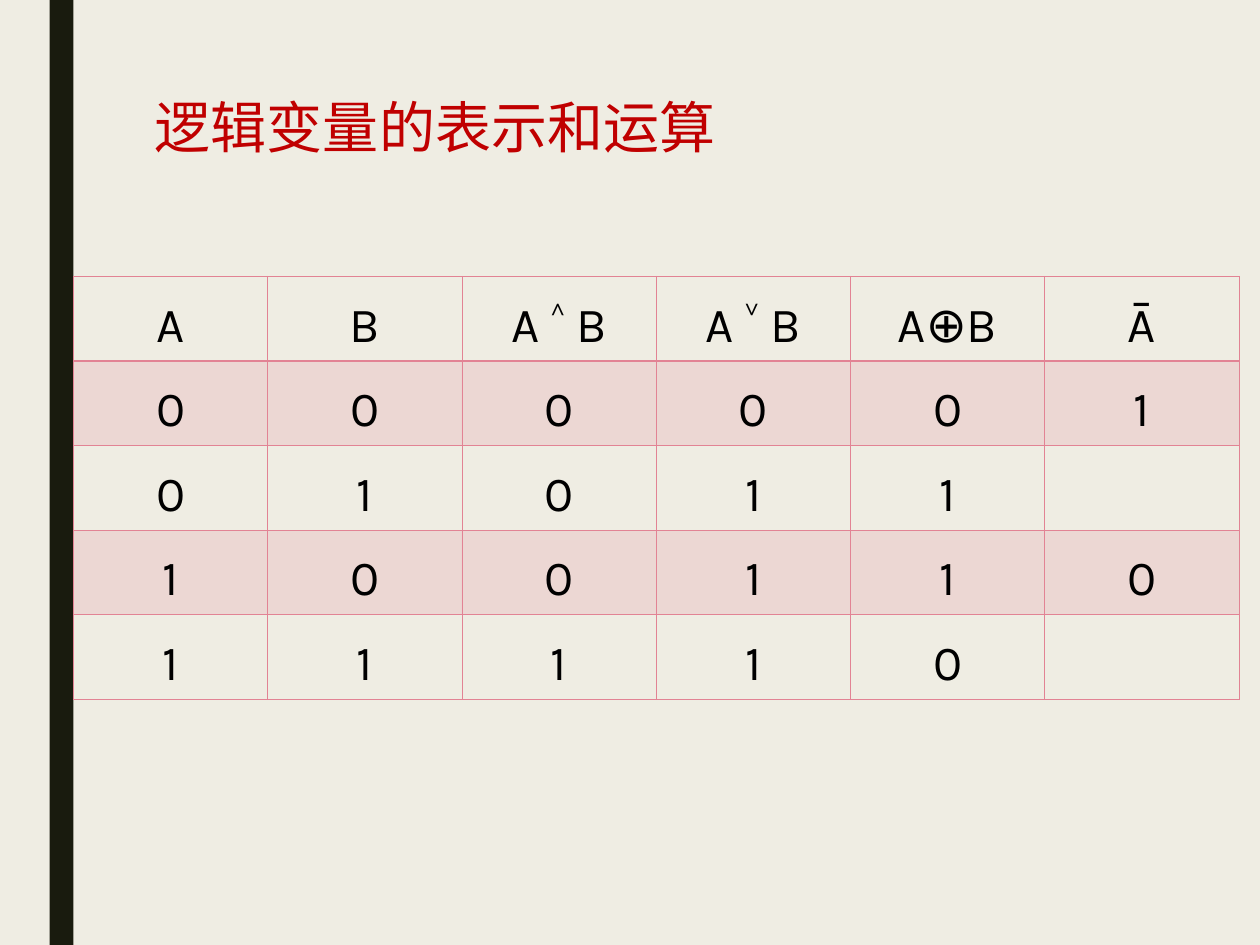
from typing import NamedTuple

from pptx import Presentation
from pptx.dml.color import RGBColor
from pptx.enum.shapes import MSO_SHAPE
from pptx.enum.text import MSO_ANCHOR, PP_ALIGN
from pptx.oxml import parse_xml
from pptx.oxml.ns import nsdecls, qn
from pptx.util import Cm, Pt

FONT = "Karla"
PINK = "E28394"
THIN, THICK = 0.45, 0.96


class Row(NamedTuple):
    texts: list[str]
    tint: bool = False


ROWS = [
    Row(["A", "B", "A ˄ B", "A ˅ B", "A⊕B", "Ā"]),
    Row(["0", "0", "0", "0", "0", "1"], True),
    Row(["0", "1", "0", "1", "1", ""]),
    Row(["1", "0", "0", "1", "1", "0"], True),
    Row(["1", "1", "1", "1", "0", ""]),
]


def color(code: str) -> RGBColor:
    return RGBColor.from_string(code)


def add_run(para, text: str, size: float, code: str) -> None:
    run = para.add_run()
    run.text = text
    run.font.name = FONT
    run.font.size = Pt(size)
    run.font.bold = False
    run.font.color.rgb = color(code)


def add_edge(cell, side: str, width: float) -> None:
    cell._tc.get_or_add_tcPr().append(parse_xml(
        f'<a:ln{side} {nsdecls("a")} w="{Pt(width)}"><a:solidFill>'
        f'<a:srgbClr val="{PINK}"/></a:solidFill></a:ln{side}>'))


def fill_cell(cell, tint: bool) -> None:
    if not tint:
        cell.fill.background()
        return
    cell.fill.solid()
    cell.fill.fore_color.rgb = color(PINK)
    shade = cell._tc.tcPr.find(qn("a:solidFill")).find(qn("a:srgbClr"))
    shade.append(parse_xml(f'<a:alpha {nsdecls("a")} val="20000"/>'))


def draw_cell(cell, text: str, line: int, tint: bool) -> None:
    # The rule under the header is thicker
    top = THICK if line == 1 else THIN
    base = THICK if line == 0 else THIN
    for side, width in zip("LRTB", (THIN, THIN, top, base)):
        add_edge(cell, side, width)
    fill_cell(cell, tint)
    cell.vertical_anchor = MSO_ANCHOR.MIDDLE
    cell.margin_left = cell.margin_right = Cm(0.2)
    cell.margin_top = cell.margin_bottom = Cm(0.13)
    para = cell.text_frame.paragraphs[0]
    para.alignment = PP_ALIGN.CENTER
    para.line_spacing = 1.25
    if text:
        add_run(para, text, 28, "000000")


def draw_table(slide, rows: list[Row]) -> None:
    count = len(rows[0].texts)
    table = slide.shapes.add_table(
        len(rows), count, Cm(1.48), Cm(5.57), Cm(23.5), Cm(7.42)).table
    table.first_row = table.horz_banding = False
    for line, row in enumerate(rows):
        for col, text in enumerate(row.texts):
            draw_cell(table.cell(line, col), text, line, row.tint)


def draw_title(slide, text: str) -> None:
    title = slide.shapes.title
    title.left, title.top = Cm(2.87), Cm(1.9)
    title.width, title.height = Cm(20), Cm(4.14)
    frame = title.text_frame
    frame.word_wrap = True
    frame.vertical_anchor = MSO_ANCHOR.TOP
    para = frame.paragraphs[0]
    para.alignment = PP_ALIGN.LEFT
    para.line_spacing = 0.89
    add_run(para, text, 32, "C00000")


def draw_bar(slide, height: int) -> None:
    bar = slide.shapes.add_shape(
        MSO_SHAPE.RECTANGLE, Cm(1), 0, Cm(0.48), height)
    bar.shadow.inherit = False
    bar.fill.solid()
    bar.fill.fore_color.rgb = color("191B0E")
    bar.line.fill.background()


def main() -> None:
    deck = Presentation()
    deck.slide_width, deck.slide_height = Cm(25.4), Cm(19.05)
    slide = deck.slides.add_slide(deck.slide_layouts[5])

    # Background and side bar
    slide.background.fill.solid()
    slide.background.fill.fore_color.rgb = color("EFEDE3")
    draw_bar(slide, deck.slide_height)

    # Title and truth table
    draw_title(slide, "逻辑变量的表示和运算")
    draw_table(slide, ROWS)
    deck.save("out.pptx")


if __name__ == "__main__":
    main()
